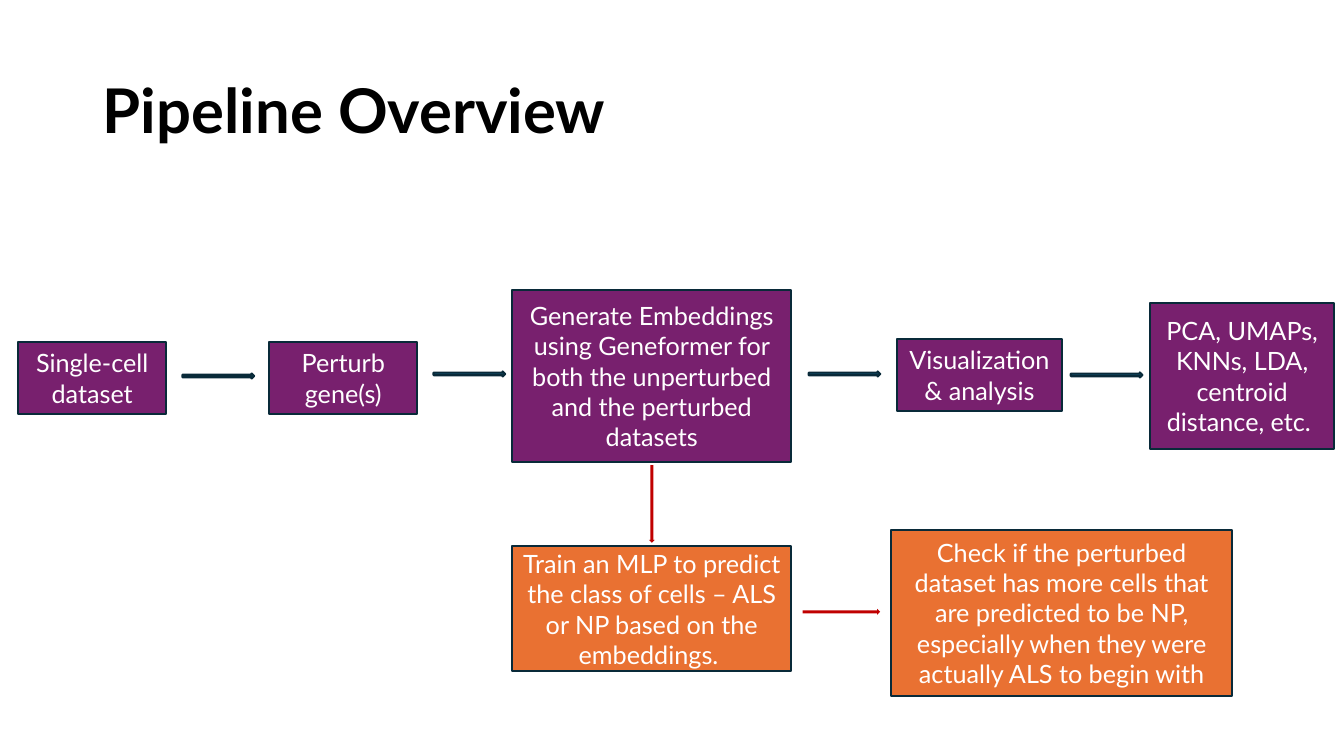
from pptx import Presentation
from pptx.dml.color import RGBColor
from pptx.enum.shapes import MSO_SHAPE
from pptx.enum.text import MSO_ANCHOR, MSO_AUTO_SIZE, PP_ALIGN
from pptx.util import Inches, Pt

PURPLE = RGBColor(0x78, 0x20, 0x6E)
ORANGE = RGBColor(0xE9, 0x71, 0x32)
TEAL = RGBColor(0x15, 0x60, 0x82)
NAVY = RGBColor(0x09, 0x2A, 0x39)
RED = RGBColor(0xC0, 0x00, 0x00)
WHITE = RGBColor(0xFF, 0xFF, 0xFF)
BLACK = RGBColor(0, 0, 0)
FONT = "Lato"

# Content: text, left, width, height, middle of the row (inches)
TITLE = "Pipeline Overview"
STEPS = [
    ("Single-cell dataset", 0.18, 1.47, 0.72, 3.75),
    ("Perturb gene(s)", 2.67, 1.47, 0.72, 3.75),
    ("Generate Embeddings using Geneformer for both the unperturbed "
     "and the perturbed datasets", 5.08, 2.77, 1.7, 3.73),
    ("Visualization & analysis", 8.9, 1.63, 0.72, 3.72),
    ("PCA, UMAPs, KNNs, LDA, centroid distance, etc. ",
     11.41, 1.82, 1.45, 3.73),
]
CHECKS = [
    ("Train an MLP to predict the class of cells – ALS or NP based on "
     "the embeddings. ", 5.08, 2.77, 1.24, 6.04),
    ("Check if the perturbed dataset has more cells that are predicted "
     "to be NP, especially when they were actually ALS to begin with",
     8.84, 3.38, 1.65, 6.08),
]
# Arrows: left, middle, turn
FLOW = [(1.81, 3.73, 0), (4.3, 3.71, 0), (8.02, 3.71, 0), (10.62, 3.72, 0)]
BRANCH = [(6.08, 5, 90), (7.96, 6.07, 0)]

deck = Presentation()
deck.slide_width, deck.slide_height = Inches(13.33), Inches(7.5)
slide = deck.slides.add_slide(deck.slide_layouts[5])


def add(kind, left, mid, width, height, fill, line=None):
    """Place a flat shape centred on the height mid."""
    shape = slide.shapes.add_shape(
        kind, Inches(left), Inches(mid - height / 2),
        Inches(width), Inches(height))
    shape.shadow.inherit = False
    shape.fill.solid()
    shape.fill.fore_color.rgb = fill
    if line is None:
        shape.line.fill.background()
    else:
        shape.line.color.rgb = line
        shape.line.width = Pt(1.5)
    return shape


def style(par, size, color, align):
    par.alignment = align
    par.font.name = FONT
    par.font.size = Pt(size)
    par.font.color.rgb = color


# Title
title = slide.shapes.title
title.left, title.top = Inches(0.92), Inches(0.4)
title.width, title.height = Inches(11.5), Inches(1.45)
frame = title.text_frame
frame.text = TITLE
frame.auto_size = MSO_AUTO_SIZE.NONE
frame.vertical_anchor = MSO_ANCHOR.MIDDLE
head = frame.paragraphs[0]
style(head, 44, BLACK, PP_ALIGN.LEFT)
head.font.bold = True
head.line_spacing = 0.9

# Boxes
for boxes, fill in ((STEPS, PURPLE), (CHECKS, ORANGE)):
    for text, left, width, height, mid in boxes:
        box = add(MSO_SHAPE.RECTANGLE, left, mid, width, height, fill, NAVY)
        frame = box.text_frame
        frame.word_wrap = True
        frame.vertical_anchor = MSO_ANCHOR.MIDDLE
        frame.text = text
        style(frame.paragraphs[0], 18, WHITE, PP_ALIGN.CENTER)

# Arrows
for arrows, width, height, fill, line in (
        (FLOW, 0.71, 0.05, TEAL, NAVY), (BRANCH, 0.77, 0.06, RED, None)):
    for left, mid, turn in arrows:
        arrow = add(MSO_SHAPE.RIGHT_ARROW, left, mid, width, height,
                    fill, line)
        arrow.rotation = turn

deck.save("out.pptx")
